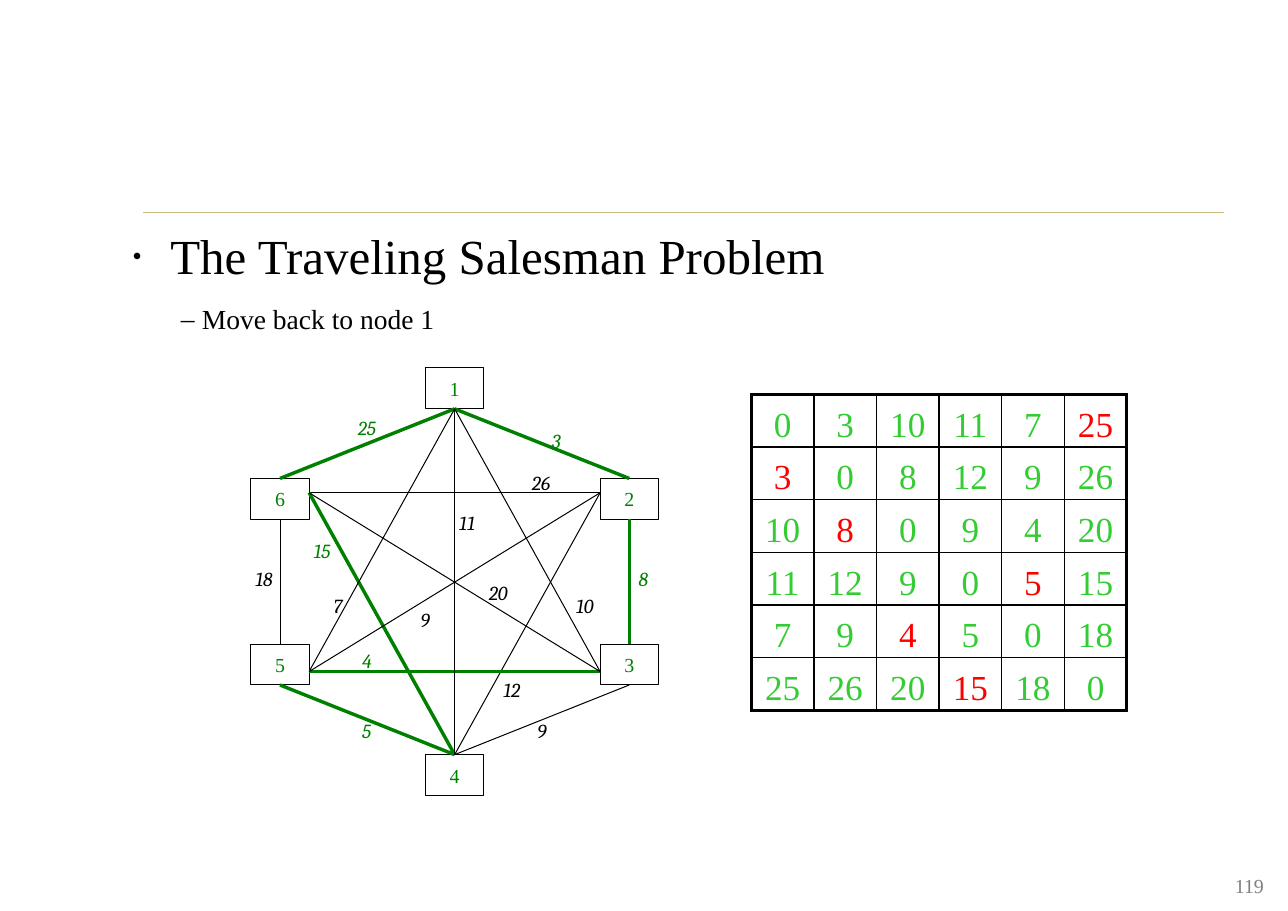
from lxml.etree import SubElement
from pptx import Presentation
from pptx.dml.color import RGBColor
from pptx.enum.shapes import MSO_CONNECTOR, MSO_SHAPE
from pptx.enum.text import MSO_ANCHOR, MSO_AUTO_SIZE, PP_ALIGN
from pptx.oxml.ns import qn
from pptx.util import Pt

COLOURS = {
    "text": "000000", "tour": "008000", "distance": "33CC33", "chosen": "FF0000",
    "node": "FFFFFF", "rule": "CBBD83", "page": "7F7F7F",
}
SERIF = "Times New Roman"

DISTANCES = [
    [0, 3, 10, 11, 7, 25],
    [3, 0, 8, 12, 9, 26],
    [10, 8, 0, 9, 4, 20],
    [11, 12, 9, 0, 5, 15],
    [7, 9, 4, 5, 0, 18],
    [25, 26, 20, 15, 18, 0],
]
TOUR = [1, 6, 4, 5, 3, 2]
TOUR_STEPS = set(zip(TOUR, TOUR[1:] + TOUR[:1]))

NODE_WIDTH, NODE_HEIGHT = 38, 26.7
COLUMN_STEP = 114.1
ROW_TOPS = [0, 72.2, 180.5, 252.7]
# Node: column, row
NODES = {1: (1, 0), 2: (2, 1), 3: (2, 2), 4: (1, 3), 5: (0, 2), 6: (0, 1)}
# Where an edge meets a node, as fractions of the node's width and height
SIDES = {
    "top": (0.5, 0), "bottom": (0.5, 1),
    "upper left": (0, 0.35), "lower left": (0, 0.67),
    "upper right": (1, 0.35), "lower right": (1, 0.67),
}
# Start node and side, end node and side, left and top of the weight
EDGES = [
    (1, "bottom", 2, "top", 196.6, 40.3),
    (2, "bottom", 3, "top", 253.4, 130.3),
    (3, "bottom", 4, "top", 187.2, 229.7),
    (5, "bottom", 4, "top", 72.7, 229.7),
    (6, "bottom", 5, "top", 2.9, 130.3),
    (1, "bottom", 6, "top", 69.8, 31.7),
    (6, "upper right", 2, "upper left", 183.6, 67.7),
    (6, "upper right", 4, "top", 41, 112.3),
    (2, "upper left", 4, "top", 164.9, 203),
    (1, "bottom", 5, "lower right", 54, 148.3),
    (5, "lower right", 3, "lower left", 72.7, 184.3),
    (1, "bottom", 3, "lower left", 212.4, 148.3),
    (1, "bottom", 4, "top", 136.1, 94.3),
    (6, "upper right", 3, "lower left", 155.5, 139.7),
    (5, "lower right", 2, "upper left", 110.9, 157.7),
]


def rgb(name):
    return RGBColor.from_string(COLOURS[name])


def format_text(paragraph, size, colour, font_name=SERIF, italic=False):
    font = paragraph.font
    font.size, font.name, font.italic = Pt(size), font_name, italic
    font.color.rgb = rgb(colour)


def clear_margins(frame):
    frame.margin_left = frame.margin_right = frame.margin_top = frame.margin_bottom = 0


def add_label(slide, text, left, top, width, height, size, colour, **style):
    frame = slide.shapes.add_textbox(Pt(left), Pt(top), Pt(width), Pt(height)).text_frame
    frame.word_wrap = True
    clear_margins(frame)
    frame.margin_top = Pt(0.7)
    paragraph = frame.paragraphs[0]
    paragraph.text = text
    paragraph.line_spacing = 0.92
    format_text(paragraph, size, colour, **style)
    return paragraph


def add_line(slide, start, end, colour, width):
    line = slide.shapes.add_connector(
        MSO_CONNECTOR.STRAIGHT, *(Pt(value) for value in (*start, *end)))
    line.line.color.rgb = rgb(colour)
    line.line.width = Pt(width)
    SubElement(line._element.spPr, qn("a:effectLst"))


def set_bullet(paragraph, character, indent, percent=100):
    properties = paragraph._p.get_or_add_pPr()
    properties.set("marL", str(Pt(indent)))
    properties.set("indent", str(-Pt(indent)))
    SubElement(properties, qn("a:buSzPct"), val=str(percent * 1000))
    SubElement(properties, qn("a:buFont"), typeface=SERIF)
    SubElement(properties, qn("a:buChar"), char=character)


def add_heading(slide, left, top, width):
    add_line(slide, (left + 15.1, top - 7.9), (left + 721.4, top - 7.9), "rule", 0.23)
    title = slide.shapes.title
    title.left, title.top, title.width, title.height = Pt(left), Pt(top), Pt(width), Pt(46)
    frame = title.text_frame
    frame.auto_size = MSO_AUTO_SIZE.NONE
    frame.vertical_anchor = MSO_ANCHOR.TOP
    clear_margins(frame)
    frame.margin_left, frame.margin_top = Pt(8), Pt(4.3)
    paragraph = frame.paragraphs[0]
    paragraph.text = "The Traveling Salesman Problem"
    paragraph.alignment = PP_ALIGN.LEFT
    paragraph.line_spacing = 0.92
    set_bullet(paragraph, "•", 24.8, 56)
    format_text(paragraph, 32, "text")
    step = add_label(slide, "Move back to node 1", left + 39.8, top + 51.9,
                     width - 39.8, 24, 18, "text")
    set_bullet(step, "–", 13.7)


def add_node(slide, number, left, top):
    node = slide.shapes.add_shape(
        MSO_SHAPE.RECTANGLE, Pt(left), Pt(top), Pt(NODE_WIDTH), Pt(NODE_HEIGHT))
    node.shadow.inherit = False
    node.fill.solid()
    node.fill.fore_color.rgb = rgb("node")
    node.line.color.rgb = rgb("text")
    node.line.width = Pt(0.65)
    frame = node.text_frame
    clear_margins(frame)
    frame.vertical_anchor = MSO_ANCHOR.MIDDLE
    paragraph = frame.paragraphs[0]
    paragraph.text = str(number)
    paragraph.alignment = PP_ALIGN.CENTER
    format_text(paragraph, 13, "tour")


def add_graph(slide, left, top):
    corners = {number: (left + column * COLUMN_STEP, top + ROW_TOPS[row])
               for number, (column, row) in NODES.items()}

    def meeting_point(number, side):
        across, down = SIDES[side]
        node_left, node_top = corners[number]
        return node_left + across * NODE_WIDTH, node_top + down * NODE_HEIGHT

    for number, corner in corners.items():
        add_node(slide, number, *corner)
    for start, start_side, end, end_side, label_left, label_top in EDGES:
        on_tour = bool({(start, end), (end, start)} & TOUR_STEPS)
        add_line(slide, meeting_point(start, start_side), meeting_point(end, end_side),
                 "tour" if on_tour else "text", 2.25 if on_tour else 0.65)
        add_label(slide, str(DISTANCES[start - 1][end - 1]), left + label_left,
                  top + label_top, 18, 14, 13, "tour" if on_tour else "text",
                  font_name="Cambria", italic=True)


def set_borders(cell, outer_sides):
    properties = cell._tc.get_or_add_tcPr()
    for side in "LRTB":
        width = Pt(2.25 if side in outer_sides else 1)
        border = SubElement(properties, qn(f"a:ln{side}"), w=str(width))
        fill = SubElement(border, qn("a:solidFill"))
        SubElement(fill, qn("a:srgbClr"), val=COLOURS["text"])


def add_distance_table(slide, left, top, width, height):
    count = len(DISTANCES)
    table = slide.shapes.add_table(
        count, count, Pt(left), Pt(top), Pt(width), Pt(height)).table
    table.first_row = table.horz_banding = False
    for i in range(count):
        table.columns[i].width = Pt(width / count)
        table.rows[i].height = Pt(height / count)
    last = count - 1
    for row, distances in enumerate(DISTANCES):
        for column, distance in enumerate(distances):
            cell = table.cell(row, column)
            edges = {"L": column == 0, "R": column == last, "T": row == 0, "B": row == last}
            set_borders(cell, [side for side, outer in edges.items() if outer])
            cell.fill.background()
            clear_margins(cell)
            cell.margin_top = Pt(6)
            cell.vertical_anchor = MSO_ANCHOR.MIDDLE
            paragraph = cell.text_frame.paragraphs[0]
            paragraph.text = str(distance)
            paragraph.alignment = PP_ALIGN.CENTER
            chosen = (row + 1, column + 1) in TOUR_STEPS
            format_text(paragraph, 23, "chosen" if chosen else "distance")


def main():
    presentation = Presentation()
    presentation.slide_width, presentation.slide_height = Pt(841.7), Pt(595.4)
    slide = presentation.slides.add_slide(presentation.slide_layouts[5])
    add_heading(slide, 78.5, 146.9, 702.7)
    add_graph(slide, 164, 240.5)
    add_distance_table(slide, 491, 257.8, 245.5, 206.6)
    add_label(slide, "119", 807, 571.7, 24, 14, 13, "page")
    presentation.save("out.pptx")


if __name__ == "__main__":
    main()
